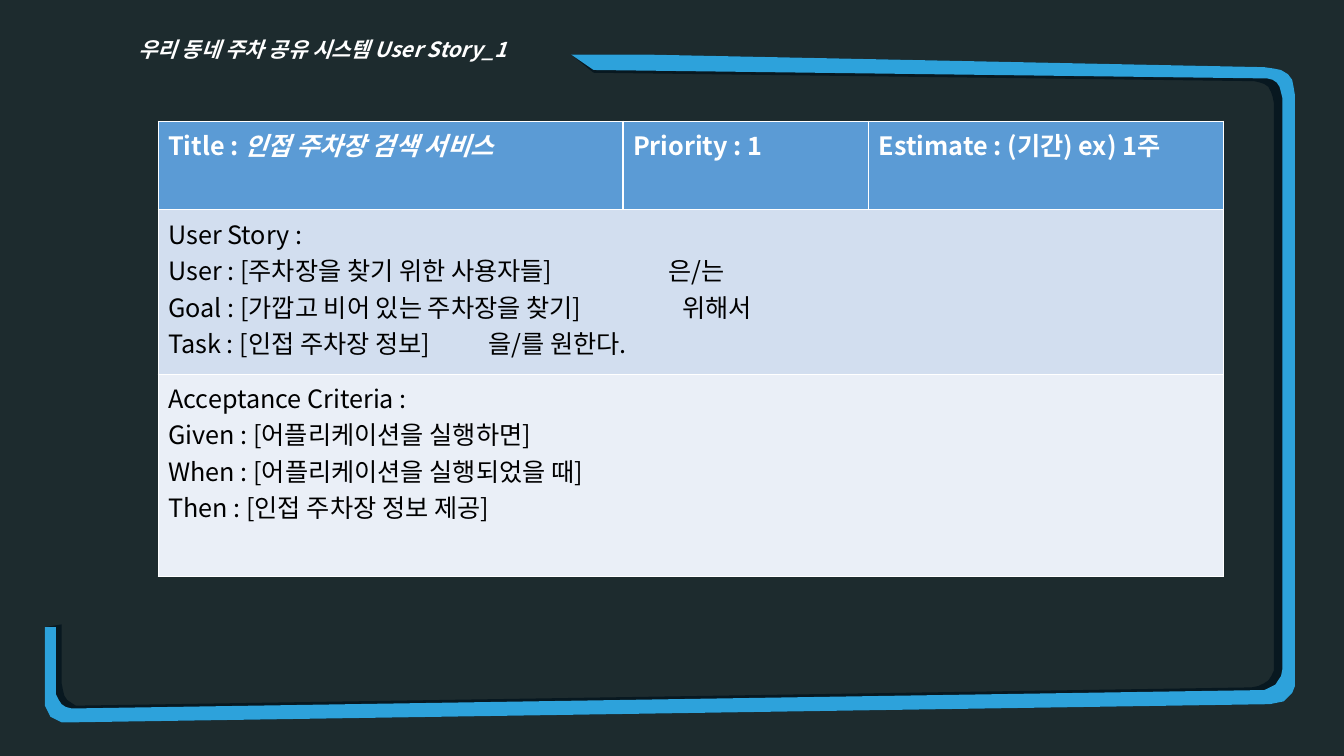
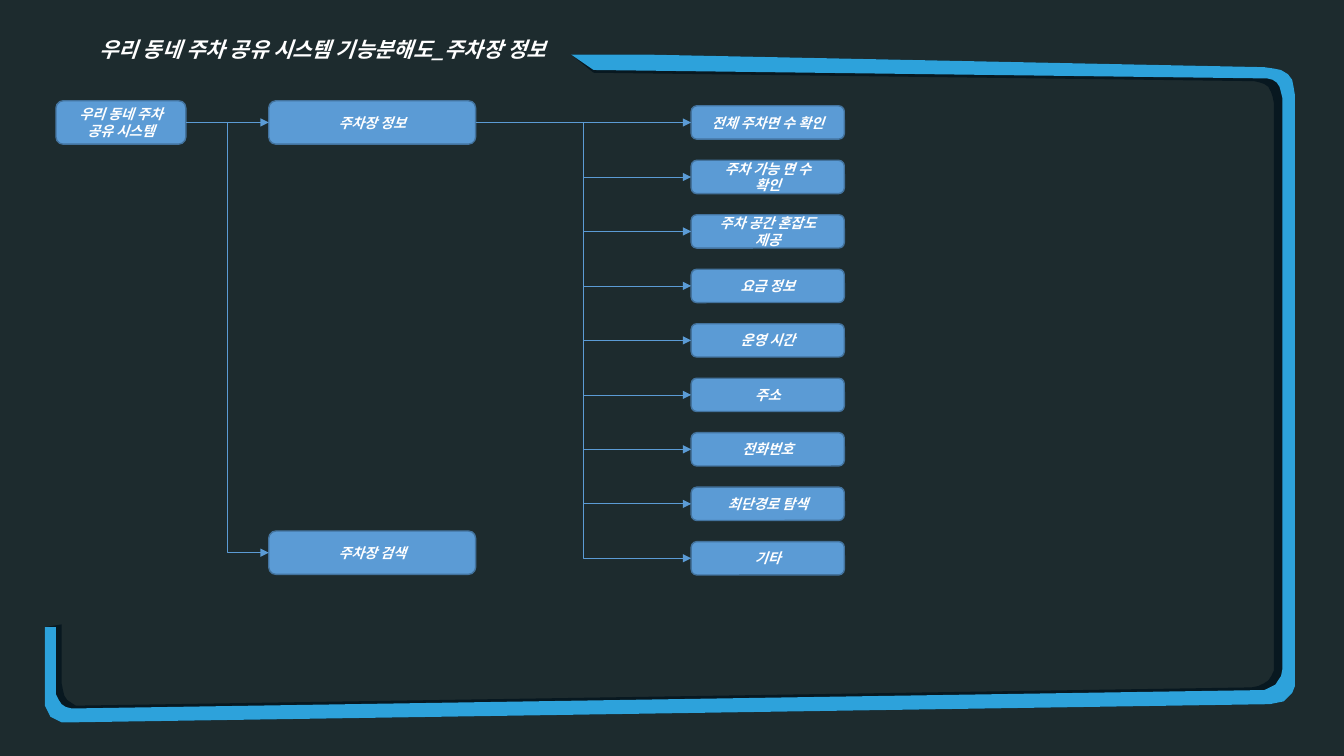
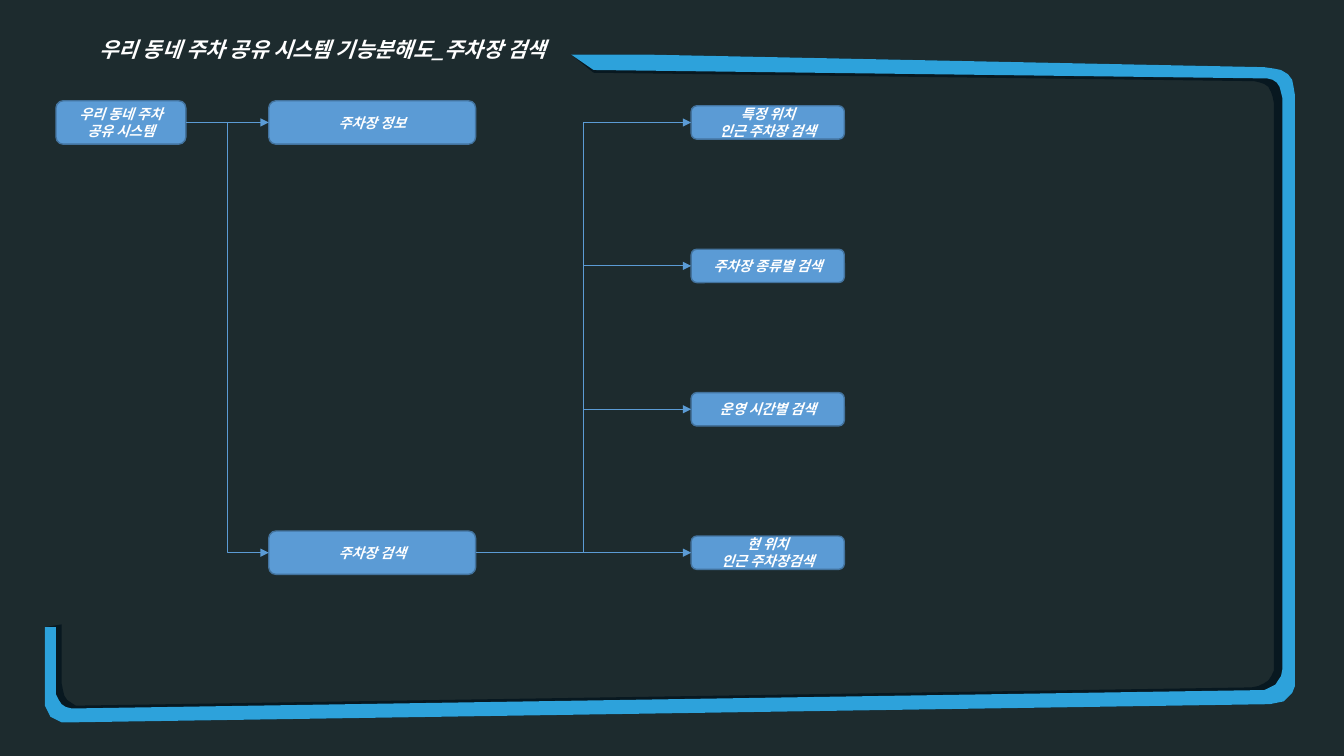
from lxml.etree import SubElement
from pptx import Presentation
from pptx.dml.color import RGBColor
from pptx.enum.shapes import MSO_CONNECTOR, MSO_SHAPE
from pptx.enum.text import MSO_ANCHOR, MSO_AUTO_SIZE, PP_ALIGN
from pptx.oxml.ns import qn
from pptx.util import Pt

BACKGROUND = RGBColor(0x1D, 0x2B, 0x2E)
FRAME_BLUE = RGBColor(0x2D, 0xA2, 0xDB)
FRAME_SHADE = RGBColor(0x08, 0x18, 0x20)
BLUE = RGBColor(0x5B, 0x9B, 0xD5)
DARK_BLUE = RGBColor(0x43, 0x73, 0x9E)
BAND = RGBColor(0xD2, 0xDE, 0xEF)
LIGHT_BAND = RGBColor(0xEA, 0xEF, 0xF7)
WHITE = RGBColor(0xFF, 0xFF, 0xFF)
BLACK = RGBColor(0x00, 0x00, 0x00)
FONT = "Noto Sans CJK KR"

LEFT_SITE, RIGHT_SITE = 1, 3
TOP_MIDDLE, BOTTOM_MIDDLE = 87.5, 394.8

FRAME_OUTER = [
    [(408, 39.3)], [(461, 39.3)],
    [(903, 48), (925, 48), (925, 68)],
    [(925, 484), (925, 503), (907, 503)],
    [(50, 516.5), (32, 516.5), (32, 498)],
    [(32, 447.5)],
]
FRAME_INNER = [
    [(40, 447.5)],
    [(40, 491), (40, 506.5), (56, 506.5)],
    [(897, 493), (915.5, 493), (915.5, 478)],
    [(915.5, 70), (915.5, 56), (900, 55.5)],
    [(424, 50.5)],
]
SHADE_INNER = [
    [(44.5, 445.5)],
    [(44.5, 488), (45, 504), (58, 504)],
    [(894, 491), (910, 489), (910, 474)],
    [(910, 74), (909, 59), (896, 58)],
    [(424, 52)],
]


def trace(corners, steps=6):
    points = []
    for corner in corners:
        if len(corner) == 1:
            points += corner
            continue
        start, control, end = corner
        for step in range(steps + 1):
            t = step / steps
            points.append(tuple(
                (1 - t) ** 2 * a + 2 * t * (1 - t) * b + t * t * c
                for a, b, c in zip(start, control, end)
            ))
    return points


class Deck:
    def __init__(self):
        self.presentation = Presentation()
        self.presentation.slide_width = Pt(960)
        self.presentation.slide_height = Pt(540)
        fill = self.presentation.slide_master.background.fill
        fill.solid()
        fill.fore_color.rgb = BACKGROUND
        self.slide = None

    def style(self, paragraph, size, color=WHITE, bold=True, italic=None):
        font = paragraph.font
        font.name, font.size = FONT, Pt(size)
        font.bold, font.italic = bold, italic
        font.color.rgb = color
        properties = paragraph._p.get_or_add_pPr().find(qn("a:defRPr"))
        SubElement(properties, qn("a:ea"), typeface=FONT)

    def new_slide(self, title):
        self.slide = self.presentation.slides.add_slide(
            self.presentation.slide_layouts[5])
        self.outline(FRAME_OUTER + SHADE_INNER, FRAME_SHADE)
        self.outline(FRAME_OUTER + FRAME_INNER, FRAME_BLUE)
        shape = self.slide.shapes.title
        shape.left, shape.top = Pt(-6.5), Pt(13.7)
        shape.width, shape.height = Pt(474), Pt(31)
        frame = shape.text_frame
        frame.text = title
        frame.word_wrap = True
        frame.auto_size = MSO_AUTO_SIZE.SHAPE_TO_FIT_TEXT
        frame.vertical_anchor = MSO_ANCHOR.TOP
        paragraph = frame.paragraphs[0]
        paragraph.alignment = PP_ALIGN.CENTER
        paragraph.line_spacing = 1.5
        self.style(paragraph, 15, italic=True)

    def outline(self, corners, color):
        points = trace(corners)
        builder = self.slide.shapes.build_freeform(*points[0], scale=Pt(1))
        builder.add_line_segments(points[1:], close=True)
        shape = builder.convert_to_shape()
        shape.shadow.inherit = False
        shape.fill.solid()
        shape.fill.fore_color.rgb = color
        shape.line.fill.background()

    def node(self, text, left, middle, width, height):
        shape = self.slide.shapes.add_shape(
            MSO_SHAPE.ROUNDED_RECTANGLE,
            Pt(left), Pt(middle - height / 2), Pt(width), Pt(height))
        shape.shadow.inherit = False
        shape.fill.solid()
        shape.fill.fore_color.rgb = BLUE
        shape.line.color.rgb = DARK_BLUE
        shape.line.width = Pt(1)
        shape.text_frame.text = text
        for paragraph in shape.text_frame.paragraphs:
            paragraph.alignment = PP_ALIGN.CENTER
            self.style(paragraph, 10, italic=True)
        return shape

    def arrow(self, parent, child):
        drop = child.top + child.height / 2 - parent.top - parent.height / 2
        kind = MSO_CONNECTOR.STRAIGHT if abs(drop) < Pt(1) else MSO_CONNECTOR.ELBOW
        connector = self.slide.shapes.add_connector(kind, 0, 0, 0, 0)
        connector.begin_connect(parent, RIGHT_SITE)
        connector.end_connect(child, LEFT_SITE)
        connector.line.color.rgb = BLUE
        connector.line.width = Pt(0.5)
        SubElement(connector.line._get_or_add_ln(), qn("a:tailEnd"), type="triangle")
        SubElement(connector._element.spPr, qn("a:effectLst"))

    def breakdown(self, title, branch, leaves, last_middle):
        self.new_slide(title)
        root = self.node("우리 동네 주차 공유 시스템", 40, TOP_MIDDLE, 92.8, 31)
        branches = {
            text: self.node(text, 192, middle, 147.8, 31)
            for text, middle in (("주차장 정보", TOP_MIDDLE),
                                 ("주차장 검색", BOTTOM_MIDDLE))
        }
        for shape in branches.values():
            self.arrow(root, shape)
        gap = (last_middle - TOP_MIDDLE) / (len(leaves) - 1)
        for index, text in enumerate(leaves):
            leaf = self.node(text, 493.7, TOP_MIDDLE + index * gap, 109.4, 23.8)
            self.arrow(branches[branch], leaf)

    def cell(self, cell, lines, fill, color=BLACK, bold=False, tabs=()):
        cell.fill.solid()
        cell.fill.fore_color.rgb = fill
        cell.text = "\n".join(lines)
        for paragraph in cell.text_frame.paragraphs:
            self.style(paragraph, 18, color, bold)
        for paragraph, position in zip(cell.text_frame.paragraphs[1:], tabs):
            tab_list = SubElement(paragraph._p.pPr, qn("a:tabLst"))
            SubElement(tab_list, qn("a:tab"), pos=str(Pt(position)), algn="l")
            paragraph._p.pPr.insert(0, tab_list)

    def story_card(self, name, headings, story, tabs, criteria):
        widths, heights = (332, 175.5, 253.5), (63.4, 117.4, 144.7)
        table = self.slide.shapes.add_table(
            3, 3, Pt(113), Pt(86.5), Pt(sum(widths)), Pt(sum(heights))).table
        for column, width in zip(table.columns, widths):
            column.width = Pt(width)
        for row, height in zip(table.rows, heights):
            row.height = Pt(height)
        for index, heading in enumerate(headings):
            self.cell(table.cell(0, index), [heading], BLUE, WHITE, True)
        run = table.cell(0, 0).text_frame.paragraphs[0].add_run()
        run.text = name
        run.font.italic = True
        for row in (1, 2):
            table.cell(row, 0).merge(table.cell(row, 2))
        self.cell(table.cell(1, 0), story, BAND, tabs=tabs)
        self.cell(table.cell(2, 0), criteria, LIGHT_BAND)


deck = Deck()

deck.new_slide("우리 동네 주차 공유 시스템 User Story_1")
deck.story_card(
    "인접 주차장 검색 서비스",
    ["Title : ", "Priority : 1", "Estimate : (기간) ex) 1주"],
    ["User Story :",
     "User : [주차장을 찾기 위한 사용자들]\t은/는",
     "Goal : [가깝고 비어 있는 주차장을 찾기]\t위해서",
     "Task : [인접 주차장 정보]\t을/를 원한다."],
    (357, 367, 228.5),
    ["Acceptance Criteria :",
     "Given : [어플리케이션을 실행하면]",
     "When : [어플리케이션을 실행되었을 때]",
     "Then : [인접 주차장 정보 제공]"],
)

deck.breakdown(
    "우리 동네 주차 공유 시스템 기능분해도_주차장 정보", "주차장 정보",
    ["전체 주차면 수 확인", "주차 가능 면 수\n확인", "주차 공간 혼잡도\n제공",
     "요금 정보", "운영 시간", "주소", "전화번호", "최단경로 탐색", "기타"],
    398.8,
)

deck.breakdown(
    "우리 동네 주차 공유 시스템 기능분해도_주차장 검색", "주차장 검색",
    ["특정 위치\n인근 주차장 검색", "주차장 종류별 검색",
     "운영 시간별 검색", "현 위치\n인근 주차장검색"],
    BOTTOM_MIDDLE,
)

deck.presentation.save("out.pptx")
